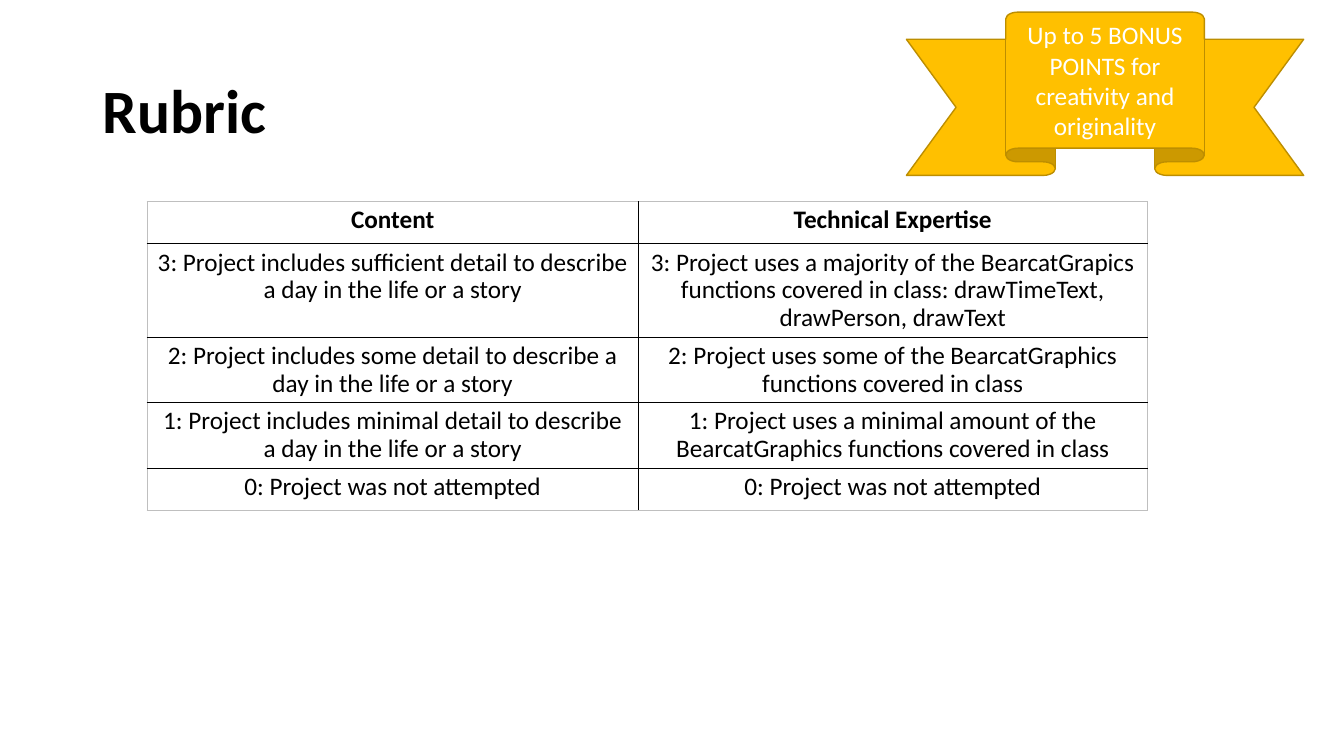
from pptx import Presentation
from pptx.dml.color import RGBColor
from pptx.enum.shapes import MSO_SHAPE
from pptx.enum.text import MSO_ANCHOR, PP_ALIGN
from pptx.oxml.ns import qn
from pptx.util import Pt
from lxml import etree

PX = 9144
LEFT, CENTER = PP_ALIGN.LEFT, PP_ALIGN.CENTER
MIDDLE = MSO_ANCHOR.MIDDLE
RIBBON = MSO_SHAPE.UP_RIBBON
HEX = {"ink": "000000", "edge": "BFBFBF", "gold": "FFC000",
       "rim": "BD8E00", "white": "FFFFFF"}


def write(frame, text, size, color, bold, align, space):
    para = frame.paragraphs[0]
    para.alignment = align
    para.line_spacing = space
    run = para.add_run()
    run.text = text
    run.font.name = "Calibri"
    run.font.size = Pt(size)
    run.font.bold = bold
    run.font.color.rgb = RGBColor.from_string(HEX[color])


def border(cell, side, color, width):
    line = etree.SubElement(cell._tc.get_or_add_tcPr(), qn("a:ln" + side), w=str(Pt(width)))
    fill = etree.SubElement(line, qn("a:solidFill"))
    etree.SubElement(fill, qn("a:srgbClr"), val=HEX[color])


deck = Presentation()
deck.slide_width = 1333 * PX
deck.slide_height = 750 * PX
slide = deck.slides.add_slide(deck.slide_layouts[5])

title = slide.shapes.title
title.left, title.top, title.width, title.height = 92 * PX, 40 * PX, 1150 * PX, 145 * PX
title.text_frame.vertical_anchor = MIDDLE
write(title.text_frame, "Rubric", 44, "ink", True, LEFT, 0.9)

rows = [
    ("Content", "Technical Expertise"),
    ("3: Project includes sufficient detail to describe a day in the life or a story",
     "3: Project uses a majority of the BearcatGrapics functions covered in class: "
     "drawTimeText, drawPerson, drawText"),
    ("2: Project includes some detail to describe a day in the life or a story",
     "2: Project uses some of the BearcatGraphics functions covered in class"),
    ("1: Project includes minimal detail to describe a day in the life or a story",
     "1: Project uses a minimal amount of the BearcatGraphics functions covered in class"),
    ("0: Project was not attempted", "0: Project was not attempted"),
]
wide = [487, 505]
high = [42, 92, 65, 65, 42]
table = slide.shapes.add_table(len(rows), len(wide), 146 * PX, 200 * PX,
                               sum(wide) * PX, sum(high) * PX).table
table.first_row = False
table.horz_banding = False
for col, width in zip(table.columns, wide):
    col.width = width * PX
for y, texts in enumerate(rows):
    table.rows[y].height = high[y] * PX
    for x, text in enumerate(texts):
        cell = table.cell(y, x)
        outer = {"L": x == 0, "R": x == len(wide) - 1,
                 "T": y == 0, "B": y == len(rows) - 1}
        for side, edge in outer.items():
            border(cell, side, "edge" if edge else "ink", 1)
        cell.fill.background()
        write(cell.text_frame, text, 18, "ink", y == 0, CENTER, 0.9)

bonus = slide.shapes.add_shape(RIBBON, 899 * PX, 12 * PX, 394 * PX, 162 * PX)
bonus.shadow.inherit = False
bonus.fill.solid()
bonus.fill.fore_color.rgb = RGBColor.from_string(HEX["gold"])
bonus.line.color.rgb = RGBColor.from_string(HEX["rim"])
bonus.line.width = Pt(1)
bonus.text_frame.word_wrap = True
bonus.text_frame.vertical_anchor = MIDDLE
write(bonus.text_frame, "Up to 5 BONUS POINTS for creativity and originality",
      18, "white", False, CENTER, 1.0)

deck.save("out.pptx")
